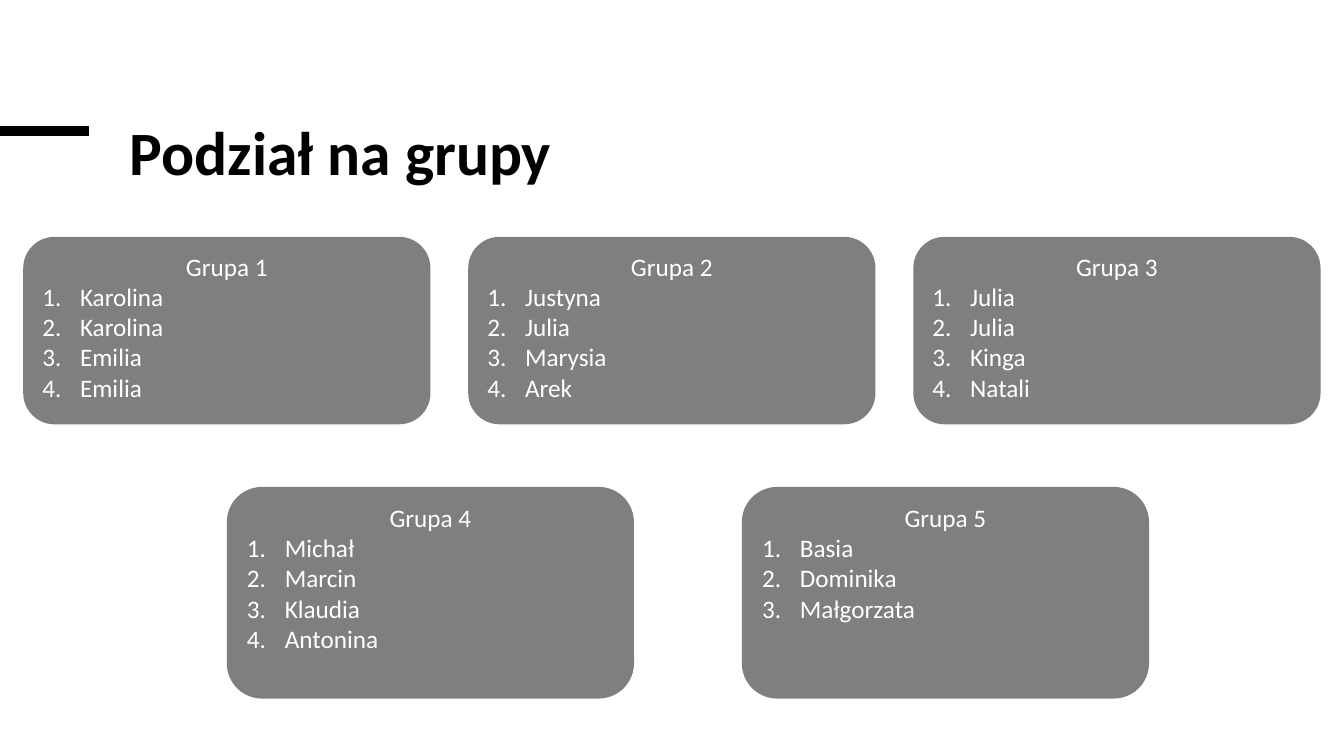
from dataclasses import dataclass

from lxml import etree
from pptx import Presentation
from pptx.dml.color import RGBColor
from pptx.enum import shapes, text
from pptx.oxml import ns
from pptx.util import Pt

COLORS = {"ink": "000000", "paper": "FFFFFF"}
FONT = "Calibri"
CARD_WIDTH = 290.9
INDENT = 27


@dataclass
class Group:
    names: list[str]


@dataclass
class Row:
    left: float
    top: float
    height: float
    pitch: float
    groups: list[Group]


ROWS = [
    Row(16.6, 169.2, 133.9, 317.9, [
        Group(["Karolina", "Karolina", "Emilia", "Emilia"]),
        Group(["Justyna", "Julia", "Marysia", "Arek"]),
        Group(["Julia", "Julia", "Kinga", "Natali"]),
    ]),
    Row(162, 347.8, 151.2, 367.9, [
        Group(["Michał", "Marcin", "Klaudia", "Antonina"]),
        Group(["Basia", "Dominika", "Małgorzata"]),
    ]),
]


def add_sub(parent, tag: str, **attrs: str):
    return etree.SubElement(parent, ns.qn(tag), attrs)


def write(par, words: str, *, size: float = 18, color: str = "paper",
          bold: bool = False, center: bool = False, spacing: float = 1.0,
          numbered: bool = False) -> None:
    par.alignment = text.PP_ALIGN.CENTER if center else text.PP_ALIGN.LEFT
    par.line_spacing = spacing
    if numbered:
        props = par._p.get_or_add_pPr()
        props.set("marL", str(Pt(INDENT)))
        props.set("indent", str(-Pt(INDENT)))
        add_sub(props, "a:buFont", typeface="+mj-lt")
        add_sub(props, "a:buAutoNum", type="arabicPeriod")
    run = par.add_run()
    run.text = words
    run.font.name = FONT
    run.font.size = Pt(size)
    run.font.bold = bold
    run.font.color.rgb = RGBColor.from_string(COLORS[color])


def draw_rule(slide) -> None:
    rule = slide.shapes.add_connector(
        shapes.MSO_CONNECTOR.STRAIGHT, Pt(0), Pt(93.6), Pt(63.4), Pt(93.6))
    rule.line.color.rgb = RGBColor.from_string(COLORS["ink"])
    rule.line.width = Pt(6.75)
    add_sub(rule._element.spPr, "a:effectLst")


def draw_title(slide) -> None:
    box = slide.shapes.add_textbox(Pt(85.7), Pt(85.7), Pt(781.2), Pt(102.2))
    box.text_frame.word_wrap = True
    write(box.text_frame.paragraphs[0], "Podział na grupy",
          size=44, color="ink", bold=True, spacing=0.85)


def draw_card(slide, group: Group, number: int, left: float, row: Row) -> None:
    card = slide.shapes.add_shape(
        shapes.MSO_SHAPE.ROUNDED_RECTANGLE,
        Pt(left), Pt(row.top), Pt(CARD_WIDTH), Pt(row.height))
    card.shadow.inherit = False
    card.line.fill.background()
    card.fill.solid()
    card.fill.fore_color.rgb = RGBColor.from_string(COLORS["ink"])
    tint = card._element.spPr.find(".//" + ns.qn("a:srgbClr"))
    add_sub(tint, "a:alpha", val="50000")

    frame = card.text_frame
    frame.word_wrap = True
    frame.vertical_anchor = text.MSO_ANCHOR.TOP
    write(frame.paragraphs[0], f"Grupa {number}", center=True)
    for name in group.names:
        write(frame.add_paragraph(), name, numbered=True)


def main() -> None:
    deck = Presentation()
    deck.slide_width, deck.slide_height = Pt(960), Pt(540)
    slide = deck.slides.add_slide(deck.slide_layouts[6])
    draw_rule(slide)
    draw_title(slide)
    number = 0
    for row in ROWS:
        for col, group in enumerate(row.groups):
            number += 1
            draw_card(slide, group, number, row.left + col * row.pitch, row)
    deck.save("out.pptx")


if __name__ == "__main__":
    main()
